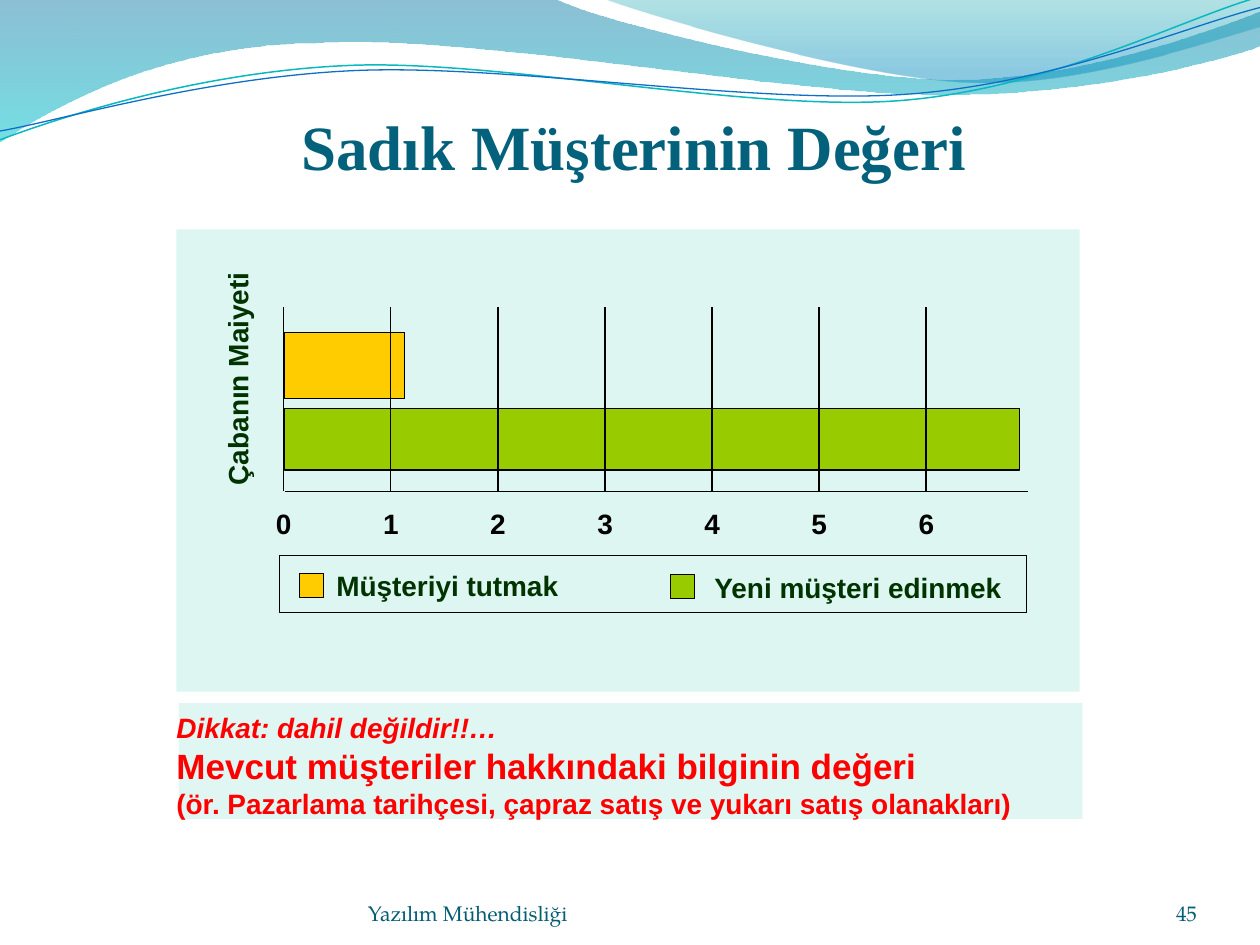
from lxml.etree import SubElement
from pptx import Presentation
from pptx.dml.color import RGBColor
from pptx.enum.shapes import MSO_CONNECTOR, MSO_SHAPE
from pptx.enum.text import MSO_ANCHOR, PP_ALIGN
from pptx.oxml.ns import qn
from pptx.util import Inches, Pt

# Chart grid: one unit of cost is one column
ORIGIN_X, AXIS_Y, UNIT = 2.25, 3.9, 0.85
YELLOW, GREEN, MINT = "FFCC00", "99CC00", "85DFD0"
BLACK, DARK_GREEN, RED = "000000", "003300", "FF0000"

# Waves: a start point, then cubic segments (three points) or lines (one point)
LEFT_WAVE = [[(0, -0.01)], [(4.4, -0.01)],
             [(4.76, 0.17), (6.64, 0.63), (7.58, 0.63)],
             [(8.53, 0.63), (9.58, 0.26), (10, 0.09)], [(10.01, 0.36)],
             [(9.83, 0.44), (8.7, 0.76), (7.46, 0.75)],
             [(6.22, 0.75), (3.82, 0.28), (2.57, 0.34)],
             [(1.29, 0.35), (0.46, 0.83), (-0.01, 1.13)], [(0, -0.01)]]
RIGHT_WAVE = [[(4.79, -0.01)], [(5.09, 0.11), (6.82, 0.62), (7.69, 0.65)],
              [(8.56, 0.69), (9.61, 0.32), (10, 0.21)], [(10, 0)],
              [(4.79, -0.01)]]
TEAL_STROKE = [[(0, 1.11)], [(0.48, 0.93), (1.58, 0.57), (2.77, 0.52)],
               [(3.95, 0.47), (5.93, 0.89), (7.13, 0.8)],
               [(8.33, 0.71), (9.38, 0.15), (9.98, -0.02)]]
BLUE_STROKE = [[(0, 1.04)], [(0.47, 0.96), (1.64, 0.61), (2.83, 0.56)],
               [(4.03, 0.51), (5.97, 0.83), (7.17, 0.75)],
               [(8.36, 0.67), (9.41, 0.21), (10, 0.06)]]


def paint(color_format, color):
    color_format.rgb = RGBColor.from_string(color)


def set_alpha(color_element, percent):
    SubElement(color_element, qn("a:alpha"), val=str(percent * 1000))


def set_line(line, color, width):
    if color is None:
        line.fill.background()
    else:
        line.fill.solid()
        paint(line.color, color)
        line.width = Pt(width)


def bend_segments(shape, segments):
    """Join each three straight steps of a cubic segment into one curve."""
    outline = shape._element.spPr.find(".//" + qn("a:path"))
    steps = iter(outline.findall(qn("a:lnTo")))
    for segment in segments[1:]:
        parts = [next(steps) for _ in segment]
        if len(parts) == 3:
            curve = outline.makeelement(qn("a:cubicBezTo"))
            parts[0].addprevious(curve)
            for part in parts:
                curve.append(part[0])
                outline.remove(part)


def add_wave(slide, segments, stops=None, line=None, width=0.75):
    points = [(Inches(x), Inches(y)) for segment in segments for x, y in segment]
    builder = slide.shapes.build_freeform(*points[0], scale=1.0)
    builder.add_line_segments(points[1:], close=stops is not None)
    shape = builder.convert_to_shape()
    bend_segments(shape, segments)
    shape.shadow.inherit = False
    set_line(shape.line, line, width)
    if stops is None:
        shape.fill.background()
        return
    shape.fill.gradient()
    shape.fill.gradient_angle = 270
    for stop, (position, color, _) in zip(shape.fill.gradient_stops, stops):
        stop.position = position
        paint(stop.color, color)
    colors = shape._element.spPr.findall(".//" + qn("a:gs") + "/" + qn("a:srgbClr"))
    for element, (_, _, alpha) in zip(colors, stops):
        set_alpha(element, alpha)


def add_box(slide, left, top, width, height, fill=None, line=None, alpha=None):
    shape = slide.shapes.add_shape(MSO_SHAPE.RECTANGLE, Inches(left), Inches(top),
                                   Inches(width), Inches(height))
    shape.shadow.inherit = False
    set_line(shape.line, line, 0.63)
    if fill is None:
        shape.fill.background()
        return
    shape.fill.solid()
    paint(shape.fill.fore_color, fill)
    if alpha is not None:
        set_alpha(shape._element.spPr.find(qn("a:solidFill"))[0], alpha)


def add_rule(slide, x1, y1, x2, y2):
    connector = slide.shapes.add_connector(
        MSO_CONNECTOR.STRAIGHT, Inches(x1), Inches(y1), Inches(x2), Inches(y2))
    set_line(connector.line, BLACK, 1)
    SubElement(connector._element.spPr, qn("a:effectLst"))


def add_text(slide, text, left, top, width, height, size=16, color=DARK_GREEN,
             font="Arial", bold=True, wrap=False, align=PP_ALIGN.LEFT,
             anchor=MSO_ANCHOR.TOP):
    box = slide.shapes.add_textbox(Inches(left), Inches(top),
                                   Inches(width), Inches(height))
    frame = box.text_frame
    frame.margin_left = frame.margin_right = 0
    frame.margin_top = frame.margin_bottom = 0
    frame.word_wrap, frame.vertical_anchor = wrap, anchor
    frame.text = text
    for paragraph in frame.paragraphs:
        paragraph.alignment = align
        for run in paragraph.runs:
            run.font.size, run.font.name, run.font.bold = Pt(size), font, bold
            paint(run.font.color, color)
    return box


def add_background(slide):
    add_wave(slide, LEFT_WAVE, stops=[(0, "0074A1", 45), (1, "00C6CF", 55)])
    add_wave(slide, RIGHT_WAVE, stops=[(0, "00A1A9", 30), (0.8, "008BBF", 45)])
    add_wave(slide, TEAL_STROKE, line="0AB8BF", width=0.85)
    add_wave(slide, BLUE_STROKE, line="0F6FC6")


def add_footer(slide):
    style = dict(size=12, color="045D75", font="TeX Gyre Pagella", bold=False,
                 wrap=True, anchor=MSO_ANCHOR.BOTTOM)
    add_text(slide, "Yazılım Mühendisliği", 2.92, 6.95, 3.67, 0.4, **style)
    add_text(slide, "45", 8.67, 6.95, 0.83, 0.4, align=PP_ALIGN.RIGHT, **style)


def add_legend(slide):
    add_box(slide, 2.22, 4.41, 5.93, 0.45, line=BLACK)
    for label, color, left, top, text_left, text_top, width in (
            ("Müşteriyi tutmak", YELLOW, 2.38, 4.55, 2.67, 4.51, 1.77),
            ("Yeni müşteri edinmek", GREEN, 5.32, 4.56, 5.67, 4.53, 2.32)):
        add_box(slide, left, top, 0.19, 0.19, color, BLACK)
        add_text(slide, label, text_left, text_top, width, 0.27)


def add_cost_bars(slide):
    add_box(slide, 2.26, 2.64, 0.95, 0.52, YELLOW, BLACK)
    add_box(slide, 2.26, 3.24, 5.83, 0.49, GREEN, BLACK)
    add_rule(slide, 2.26, AXIS_Y, 8.16, AXIS_Y)
    for value in range(7):
        x = ORIGIN_X + value * UNIT
        add_rule(slide, x, 2.44, x, AXIS_Y)
        add_text(slide, str(value), x - 0.06, 4.02, 0.12, 0.27, color=BLACK)
    axis_title = add_text(slide, "Çabanın Maiyeti", 1.04, 2.87, 1.69, 0.27)
    axis_title.rotation = 270


def add_warning(slide):
    box = add_text(
        slide,
        "Dikkat: dahil değildir!!…\vMevcut müşteriler hakkındaki bilginin değeri\n"
        "(ör. Pazarlama tarihçesi, çapraz satış ve yukarı satış olanakları)",
        1.4, 5.64, 6.92, 0.87, color=RED, wrap=True)
    notice, message = box.text_frame.paragraphs[0].runs
    notice.font.italic = True
    message.font.size = Pt(20)


def main():
    presentation = Presentation()
    presentation.slide_width, presentation.slide_height = Inches(10), Inches(7.5)
    slide = presentation.slides.add_slide(presentation.slide_layouts[6])
    add_background(slide)
    add_footer(slide)
    # Pale panels behind the warning and the chart
    add_box(slide, 1.42, 5.58, 7.17, 0.92, MINT, alpha=25)
    add_box(slide, 1.4, 1.82, 7.17, 3.67, MINT, alpha=28)
    add_legend(slide)
    add_cost_bars(slide)
    add_warning(slide)
    add_text(slide, "Sadık Müşterinin Değeri", 1.57, 0.53, 6.92, 1.25, size=36,
             color="04617B", font="Times New Roman", wrap=True,
             align=PP_ALIGN.CENTER, anchor=MSO_ANCHOR.MIDDLE)
    presentation.save("out.pptx")


if __name__ == "__main__":
    main()
